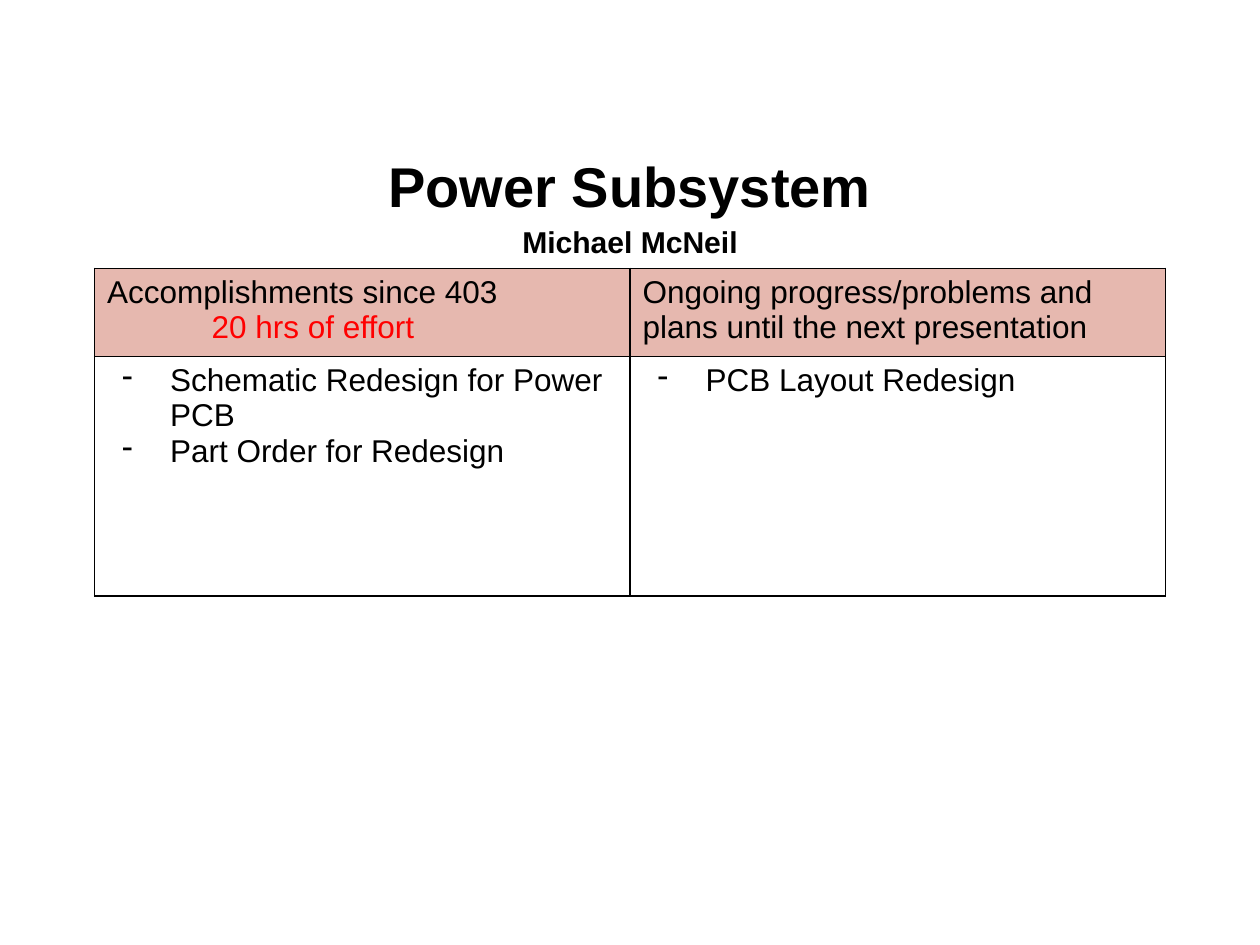
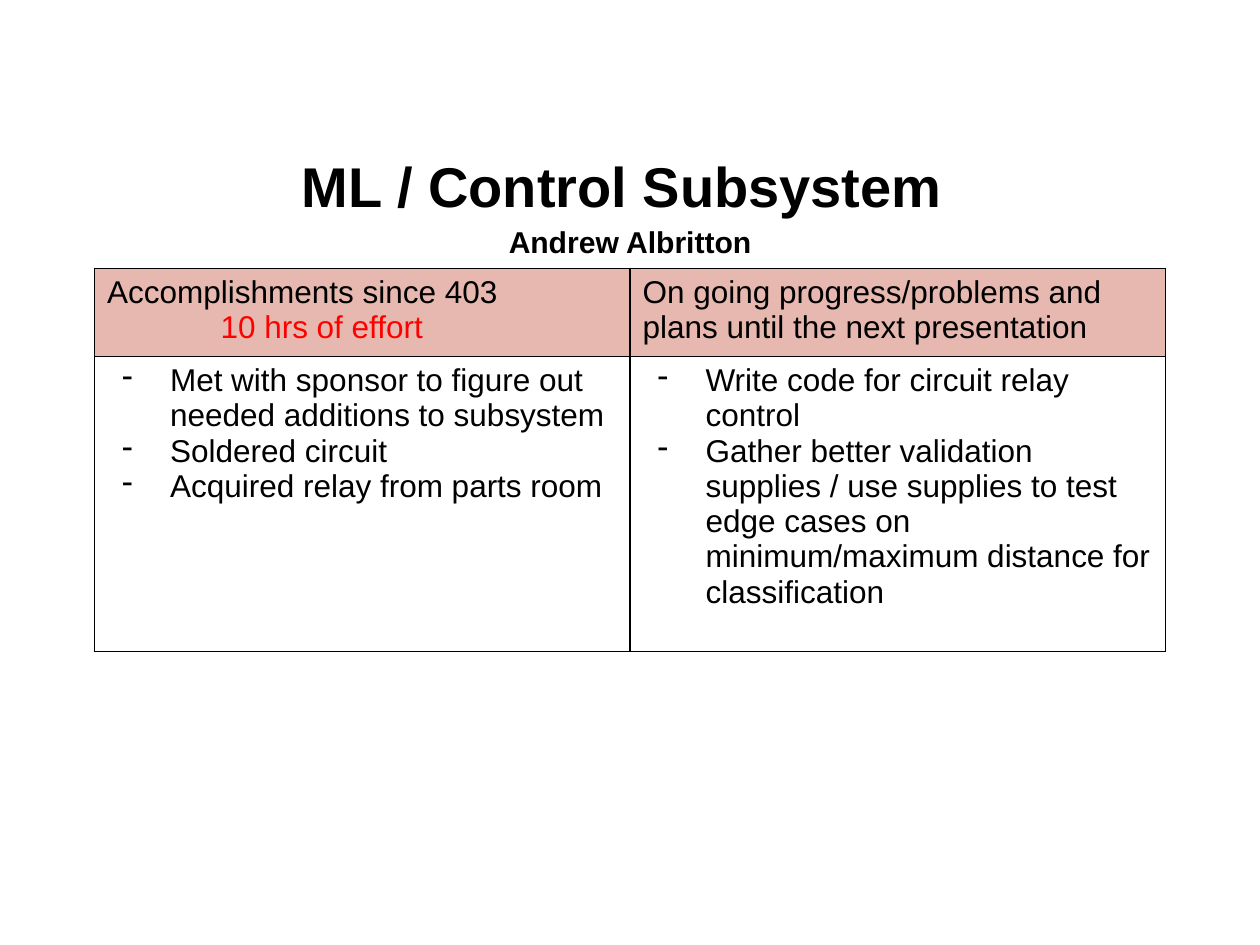
from dataclasses import dataclass

from pptx import Presentation
from pptx.dml.color import RGBColor
from pptx.enum.text import MSO_ANCHOR, PP_ALIGN
from pptx.oxml import parse_xml
from pptx.oxml.ns import nsdecls
from pptx.util import Inches, Pt


@dataclass(frozen=True)
class Theme:
    font: str = "Arial"
    ink: str = "000000"
    accent: str = "FF0000"
    header_fill: str = "E6B8AF"
    title_size: float = 32
    presenter_size: float = 17.2
    table_size: float = 18
    border_width: float = 1


theme = Theme()

subsystems = [
    {
        "title": "Power Subsystem",
        "presenter": "Michael McNeil",
        "effort": "20 hrs of effort",
        "effort_indent": 0.83,
        "plans_heading": "Ongoing progress/problems and plans until the next presentation",
        "body_height": 1.9,
        "accomplishments": ["Schematic Redesign for Power PCB", "Part Order for Redesign"],
        "plans": ["PCB Layout Redesign"],
    },
    {
        "title": "ML / Control Subsystem ",
        "presenter": "Andrew Albritton",
        "effort": "10 hrs of effort",
        "effort_indent": 0.9,
        "plans_heading": "On going progress/problems and plans until the next presentation",
        "body_height": 2.34,
        "accomplishments": [
            "Met with sponsor to figure out needed additions to subsystem",
            "Soldered circuit",
            "Acquired relay from parts room",
        ],
        "plans": [
            "Write code for circuit relay control",
            "Gather better validation supplies / use supplies to test edge cases on "
            "minimum/maximum distance for classification",
        ],
    },
]


def add_span(paragraph, text, size, color=theme.ink, bold=False):
    span = paragraph.add_run()
    span.text = text
    span.font.name = theme.font
    span.font.size = Pt(size)
    span.font.bold = bold
    span.font.color.rgb = RGBColor.from_string(color)


def next_paragraph(frame, index):
    return frame.add_paragraph() if index else frame.paragraphs[0]


deck = Presentation()
deck.slide_width = Inches(10)
deck.slide_height = Inches(7.5)

for subsystem in subsystems:
    page = deck.slides.add_slide(deck.slide_layouts[6])

    # Title with the presenter below
    box = page.shapes.add_textbox(Inches(0.5), Inches(1.15), Inches(9), Inches(0.88))
    box.text_frame.word_wrap = True
    box.text_frame.vertical_anchor = MSO_ANCHOR.MIDDLE
    heading = [(subsystem["title"], theme.title_size), (subsystem["presenter"], theme.presenter_size)]
    for index, (text, size) in enumerate(heading):
        paragraph = next_paragraph(box.text_frame, index)
        paragraph.alignment = PP_ALIGN.CENTER
        paragraph.line_spacing = 1.15
        add_span(paragraph, text, size, bold=True)

    # Progress table
    row_heights = [0.7, subsystem["body_height"]]
    table = page.shapes.add_table(
        2, 2, Inches(0.75), Inches(2.13), Inches(8.5), Inches(sum(row_heights))
    ).table
    table.first_row = False
    table.horz_banding = False
    for row, height in zip(table.rows, row_heights):
        row.height = Inches(height)
    for column in table.columns:
        column.width = Inches(4.25)

    # Cell borders and fills
    for cell in table.iter_cells():
        properties = cell._tc.get_or_add_tcPr()
        for side in ("lnL", "lnR", "lnT", "lnB"):
            properties.append(parse_xml(
                f'<a:{side} {nsdecls("a")} w="{Pt(theme.border_width)}">'
                f'<a:solidFill><a:srgbClr val="{theme.ink}"/></a:solidFill></a:{side}>'
            ))
        cell.fill.background()
    for column in range(2):
        header = table.cell(0, column)
        header.fill.solid()
        header.fill.fore_color.rgb = RGBColor.from_string(theme.header_fill)

    # Header row
    frame = table.cell(0, 0).text_frame
    add_span(frame.paragraphs[0], "Accomplishments since 403", theme.table_size)
    effort = frame.add_paragraph()
    effort._p.get_or_add_pPr().set("marL", str(Inches(subsystem["effort_indent"])))
    add_span(effort, subsystem["effort"], theme.table_size, theme.accent)
    plans_header = table.cell(0, 1).text_frame.paragraphs[0]
    add_span(plans_header, subsystem["plans_heading"], theme.table_size)

    # Dashed lists
    for column, key in enumerate(("accomplishments", "plans")):
        frame = table.cell(1, column).text_frame
        for index, item in enumerate(subsystem[key]):
            paragraph = next_paragraph(frame, index)
            properties = paragraph._p.get_or_add_pPr()
            properties.set("marL", str(Inches(0.5)))
            properties.set("indent", str(Inches(-0.38)))
            properties.append(parse_xml(
                f'<a:buClr {nsdecls("a")}><a:srgbClr val="{theme.ink}"/></a:buClr>'
            ))
            properties.append(parse_xml(f'<a:buChar {nsdecls("a")} char="-"/>'))
            add_span(paragraph, item, theme.table_size)

deck.save("out.pptx")
